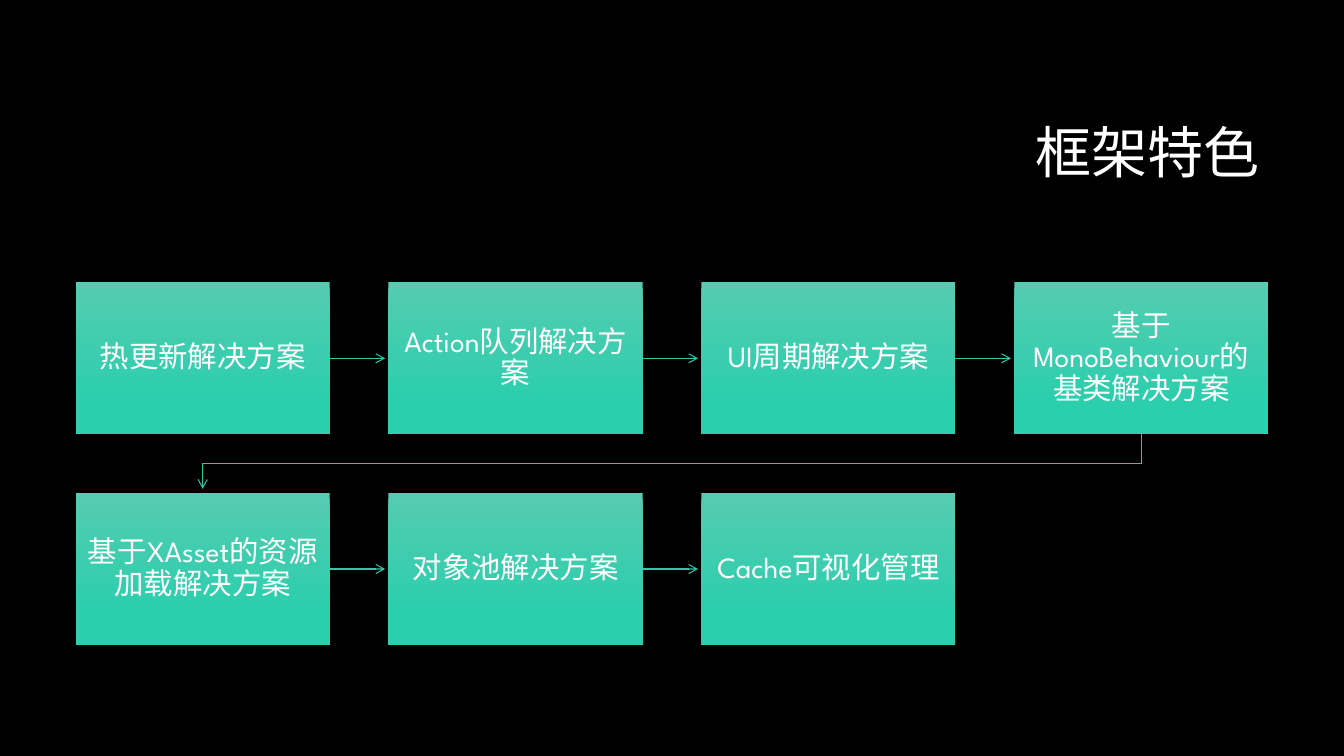
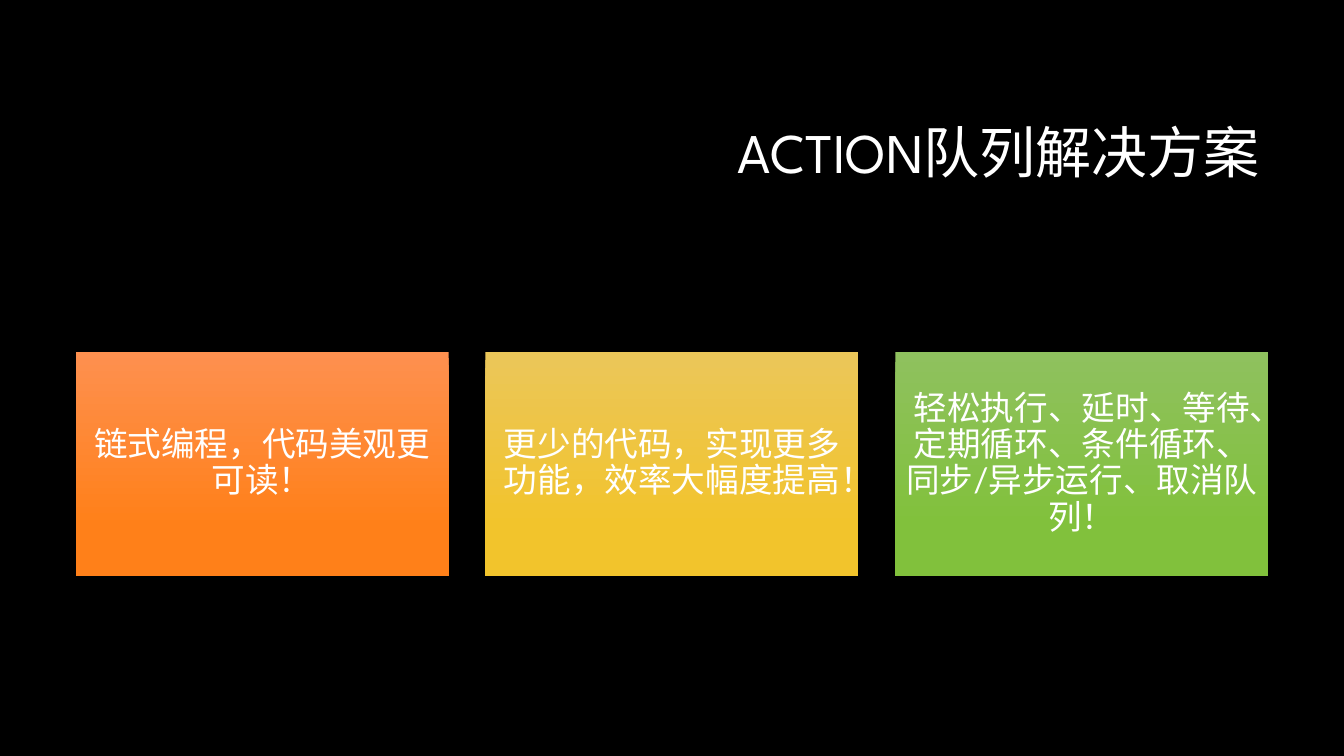
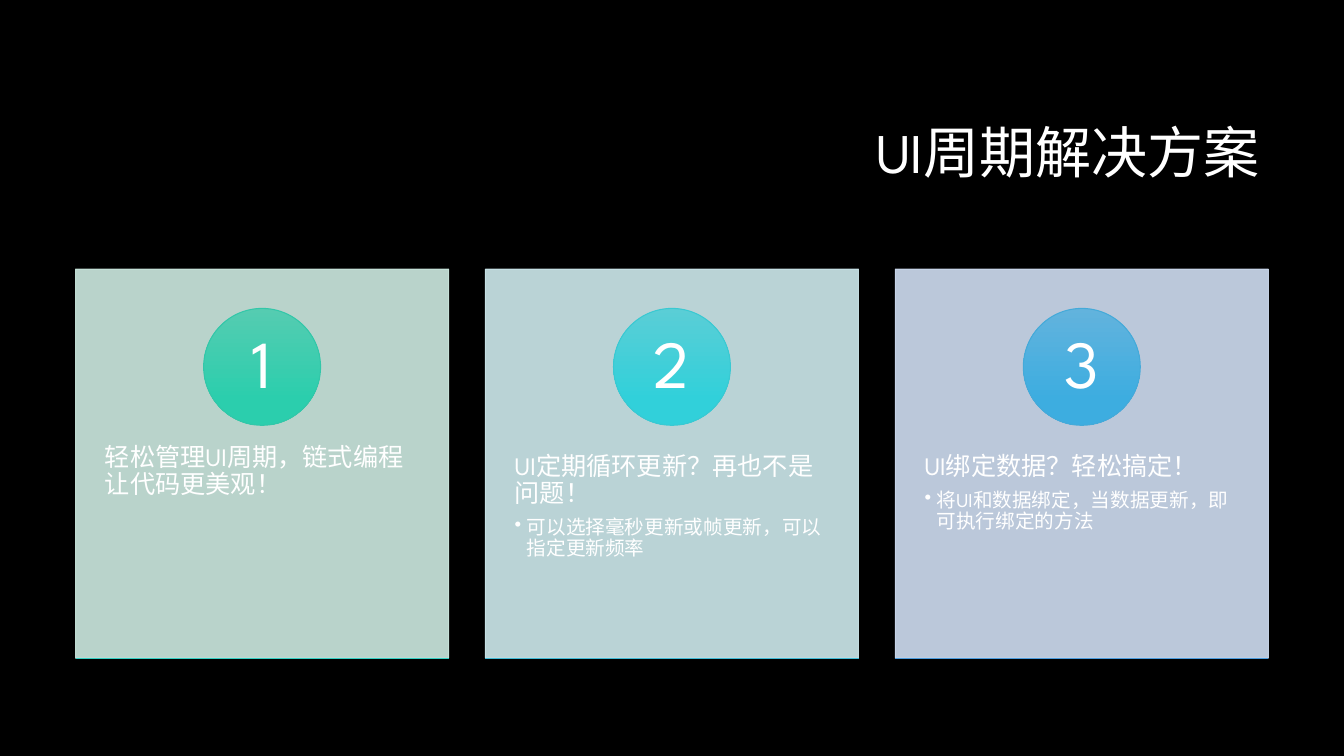
from pptx import Presentation
from pptx.dml.color import RGBColor
from pptx.enum.shapes import MSO_CONNECTOR as Connector, MSO_SHAPE as Shape
from pptx.enum.text import MSO_ANCHOR as Anchor, PP_ALIGN as Align
from pptx.oxml.ns import qn
from pptx.util import Inches, Pt
from lxml.etree import SubElement

COLORS = {
    "background": "000000", "text": "FFFFFF",
    "teal_light": "55CCB1", "teal": "2BCEAD", "teal_line": "32C7A9",
    "orange_light": "FE904F", "orange": "FF8019",
    "yellow_light": "EBC659", "yellow": "F2C42C",
    "green_light": "8FC15E", "green": "81C13C",
    "cyan_light": "5ACED6", "cyan": "31D0DA", "cyan_line": "39C9D2",
    "blue_light": "62B3DD", "blue": "3DADE0", "blue_line": "44AAD9",
    "teal_panel": "CEEBE2", "cyan_panel": "CFEAEE", "blue_panel": "D0DEF2",
    "teal_rule": "34CEC3", "cyan_rule": "3FB9D5", "blue_rule": "4A9BDC",
}
HEADING_FONT, BODY_FONT = "League Spartan", "Lato"
LEFT, CONTENT_WIDTH = 0.75, 11.83


def color(name):
    return RGBColor.from_string(COLORS[name])


def column_left(index, count, width):
    """Left edge of one of count equal columns spread over the content width."""
    return LEFT + index * (CONTENT_WIDTH - width) / (count - 1)


class Deck:
    def __init__(self):
        self.prs = Presentation()
        self.prs.slide_width, self.prs.slide_height = Inches(13.33), Inches(7.5)
        self.slide = None

    def new_slide(self, title):
        self.slide = self.prs.slides.add_slide(self.prs.slide_layouts[6])
        self.slide.background.fill.solid()
        self.slide.background.fill.fore_color.rgb = color("background")
        heading = self.text_box(3.17, 0.84, 9.42, 1.41)
        self.frame(heading, (0.1, 0.05), Anchor.MIDDLE)
        self.paragraph(heading, title, 40, align=Align.RIGHT)

    def text_box(self, left, top, width, height):
        return self.slide.shapes.add_textbox(
            Inches(left), Inches(top), Inches(width), Inches(height))

    def frame(self, holder, insets, anchor):
        horizontal, vertical = insets
        frame = holder.text_frame
        frame.word_wrap = True
        frame.vertical_anchor = anchor
        frame.margin_left = frame.margin_right = Inches(horizontal)
        frame.margin_top = frame.margin_bottom = Inches(vertical)

    def paragraph(self, holder, text, size, font=HEADING_FONT, align=Align.LEFT,
                  bullet=False):
        """Fill the empty first paragraph, or append one."""
        frame = holder.text_frame
        first = frame.paragraphs[0]
        para = frame.add_paragraph() if first.runs else first
        para.alignment, para.line_spacing = align, 0.9
        para.space_after = Pt(2 if bullet else 7)
        if bullet:
            para.level = 1
            props = para._p.get_or_add_pPr()
            props.set("marL", str(Inches(0.12)))
            props.set("indent", str(-Inches(0.12)))
            SubElement(props, qn("a:buChar")).set("char", "•")
        run = para.add_run()
        run.text = text
        run.font.name, run.font.size = font, Pt(size)
        run.font.color.rgb = color("text")

    def box(self, kind, left, top, width, height):
        shape = self.slide.shapes.add_shape(
            kind, Inches(left), Inches(top), Inches(width), Inches(height))
        shape.shadow.inherit = False
        shape.line.fill.background()
        return shape

    def gradient_box(self, kind, hue, left, top, width, height):
        shape = self.box(kind, left, top, width, height)
        shape.fill.gradient()
        shape.fill.gradient_angle = 270
        start, end = shape.fill.gradient_stops
        start.color.rgb, end.color.rgb = color(hue + "_light"), color(hue)
        start.position, end.position = 0, 0.78
        return shape

    def card(self, text, hue, left, top, width, height, size, font, insets):
        card = self.gradient_box(Shape.RECTANGLE, hue, left, top, width, height)
        self.frame(card, insets, Anchor.MIDDLE)
        self.paragraph(card, text, size, font, Align.CENTER)
        return card

    def badge(self, number, hue, left, top, diameter):
        badge = self.gradient_box(Shape.OVAL, hue, left, top, diameter, diameter)
        self.outline(badge, hue + "_line")
        self.frame(badge, (0.09, 0.01), Anchor.MIDDLE)
        self.paragraph(badge, str(number), 48, align=Align.CENTER)

    def panel(self, hue, left, top, width, height):
        """Slightly transparent rectangle."""
        panel = self.box(Shape.RECTANGLE, left, top, width, height)
        panel.fill.solid()
        panel.fill.fore_color.rgb = color(hue + "_panel")
        self.outline(panel, hue + "_panel")
        for tint in panel._element.spPr.iter(qn("a:srgbClr")):
            SubElement(tint, qn("a:alpha")).set("val", "90000")

    def outline(self, shape, name, arrow=False):
        shape.line.color.rgb, shape.line.width = color(name), Pt(0.75)
        if arrow:
            SubElement(shape.line._get_or_add_ln(), qn("a:tailEnd")).set("type", "arrow")

    def line(self, name, start, end, arrow=False):
        line = self.slide.shapes.add_connector(
            Connector.STRAIGHT, *(Inches(v) for v in (*start, *end)))
        self.outline(line, name, arrow)
        SubElement(line._element.spPr, qn("a:effectLst"))
        return line

    def bent_arrow(self, name, points):
        start, *rest = [(Inches(x), Inches(y)) for x, y in points]
        builder = self.slide.shapes.build_freeform(*start)
        builder.add_line_segments(rest, close=False)
        arrow = builder.convert_to_shape()
        arrow.shadow.inherit = False
        arrow.fill.background()
        self.outline(arrow, name, arrow=True)


def features_slide(deck):
    deck.new_slide("框架特色")
    rows = [
        ["热更新解决方案", "Action队列解决方案", "UI周期解决方案",
         "基于MonoBehaviour的基类解决方案"],
        ["基于XAsset的资源加载解决方案", "对象池解决方案", "Cache可视化管理"],
    ]
    tops, width, height, columns = (2.8, 4.89), 2.52, 1.51, 4
    for top, features in zip(tops, rows):
        for index, feature in enumerate(features):
            left = column_left(index, columns, width)
            card = deck.card(feature, "teal", left, top, width, height,
                             21, HEADING_FONT, (0.12, 0.13))
            if index < len(features) - 1:
                right, middle = left + width, top + height / 2
                arrow = deck.line("teal_line", (right, middle),
                                  (right + 0.55, middle), arrow=True)
                arrow.begin_connect(card, 3)
    first_center = LEFT + width / 2
    last_center = column_left(columns - 1, columns, width) + width / 2
    bottom, turn = tops[0] + height, 4.6
    deck.bent_arrow("teal_line", [(last_center, bottom), (last_center, turn),
                                  (first_center, turn), (first_center, 4.85)])


def action_slide(deck):
    deck.new_slide("ACTION队列解决方案")
    benefits = [
        ("orange", "链式编程，代码美观更可读！"),
        ("yellow", "更少的代码，实现更多功能，效率大幅度提高！"),
        ("green", "轻松执行、延时、等待、定期循环、条件循环、同步/异步运行、取消队列！"),
    ]
    width = 3.7
    for index, (hue, benefit) in enumerate(benefits):
        deck.card(benefit, hue, column_left(index, len(benefits), width), 3.49,
                  width, 2.22, 24, BODY_FONT, (0.1, 0.1))


def ui_slide(deck):
    deck.new_slide("UI周期解决方案")
    steps = [
        ("teal", "轻松管理UI周期，链式编程让代码更美观！", []),
        ("cyan", "UI定期循环更新？再也不是问题！",
         ["可以选择毫秒更新或帧更新，可以指定更新频率"]),
        ("blue", "UI绑定数据？轻松搞定！",
         ["将UI和数据绑定，当数据更新，即可执行绑定的方法"]),
    ]
    top, width, height, diameter = 2.67, 3.7, 3.86, 1.16
    for index, (hue, summary, details) in enumerate(steps):
        left = column_left(index, len(steps), width)
        deck.panel(hue, left, top, width, height)
        description = deck.text_box(left, 4.14, width, 2.32)
        deck.frame(description, (0.29, 0.36), Anchor.TOP)
        deck.paragraph(description, summary, 18)
        for detail in details:
            deck.paragraph(description, detail, 14, bullet=True)
        deck.badge(index + 1, hue, left + (width - diameter) / 2, 3.06, diameter)
        deck.line(hue + "_rule", (left, top + height), (left + width, top + height))


def main():
    deck = Deck()
    features_slide(deck)
    action_slide(deck)
    ui_slide(deck)
    deck.prs.save("out.pptx")


if __name__ == "__main__":
    main()
